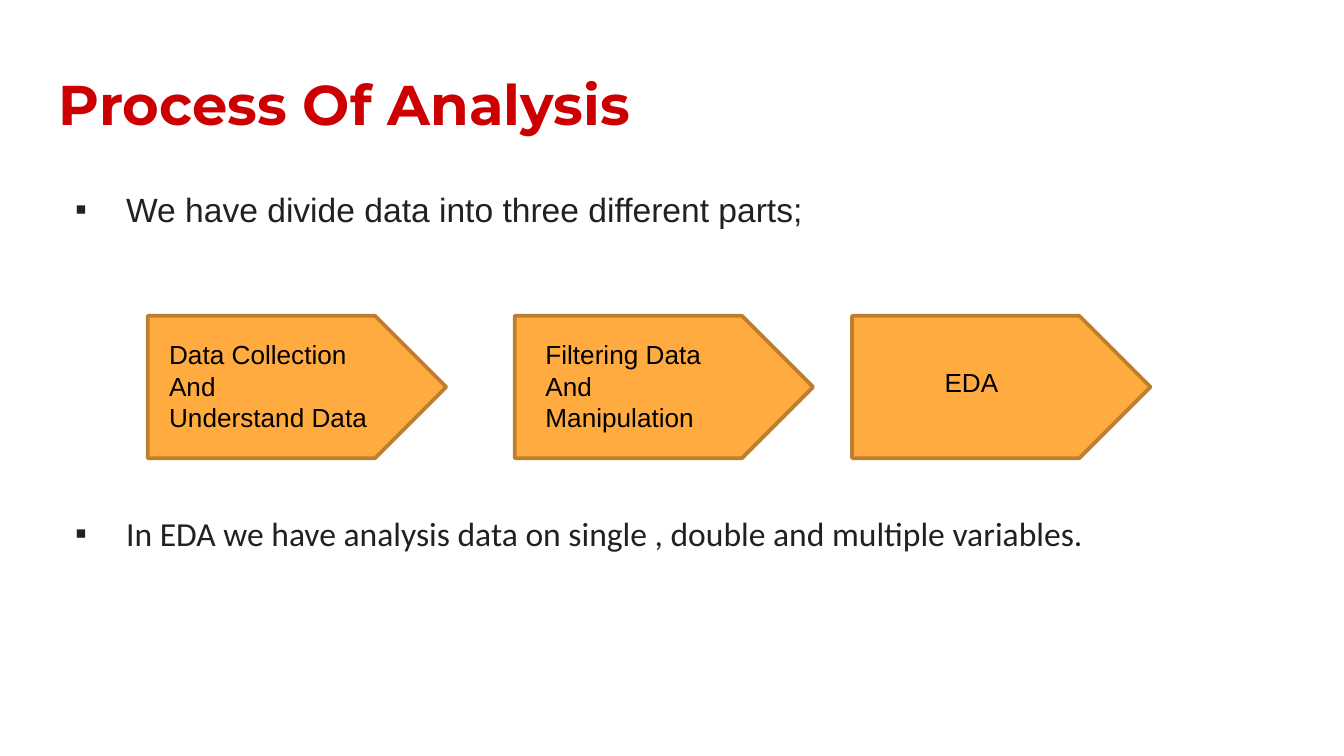
"""Build the Process Of Analysis slide with three stage arrows."""
from lxml import etree
from pptx import Presentation
from pptx.dml.color import RGBColor
from pptx.enum import shapes, text
from pptx.oxml import ns
from pptx.util import Inches, Pt

RED = RGBColor(0xCC, 0x00, 0x00)
DARK = RGBColor(0x21, 0x21, 0x21)
BLACK = RGBColor(0x00, 0x00, 0x00)
ORANGE = RGBColor(0xFF, 0xAB, 0x40)
BROWN = RGBColor(0xBD, 0x7F, 0x2F)

TITLE = "Process Of Analysis"
POINTS = [
    ("We have divide data into three different parts;", "Arial", 0),
    ("In EDA we have analysis data on single , double and multiple variables.",
     "Calibri", 149),
]
STAGES = [
    (1.1, [["Data Collection ", "And ", "Understand Data"]], (1.16, 2.47, 1.76, 0.81)),
    (3.83, [["Filtering Data"], ["And ", "Manipulation"]], (3.96, 2.47, 1.49, 0.81)),
    (6.34, [["EDA"]], (6.93, 2.68, 0.93, 0.34)),
]
ARROW_TOP, ARROW_WIDTH, ARROW_HEIGHT = 2.35, 2.22, 1.06


def add_box(page, place, inset=0.1):
    box = page.shapes.add_textbox(*map(Inches, place))
    frame = box.text_frame
    frame.word_wrap = True
    frame.margin_left = frame.margin_right = Inches(0.1)
    frame.margin_top = frame.margin_bottom = Inches(inset)
    return frame


def add_para(frame, index, lines, font, size, color, bold=False):
    para = frame.add_paragraph() if index else frame.paragraphs[0]
    for number, words in enumerate(lines):
        if number:
            para.add_line_break()
        span = para.add_run()
        span.text = words
        span.font.name, span.font.size, span.font.bold = font, Pt(size), bold
        span.font.color.rgb = color
    return para


def add_bullet(para):
    props = para._p.get_or_add_pPr()
    props.set("marL", str(Inches(0.5)))
    props.set("indent", str(Inches(-0.38)))
    etree.SubElement(props, ns.qn("a:buFont"), typeface="Arial")
    etree.SubElement(props, ns.qn("a:buChar"), char="▪")


def add_arrow(page, left):
    arrow = page.shapes.add_shape(
        shapes.MSO_SHAPE.PENTAGON, Inches(left), Inches(ARROW_TOP),
        Inches(ARROW_WIDTH), Inches(ARROW_HEIGHT))
    arrow.shadow.inherit = False
    arrow.fill.solid()
    arrow.fill.fore_color.rgb = ORANGE
    arrow.line.color.rgb = BROWN
    arrow.line.width = Pt(2)


def main():
    deck = Presentation()
    deck.slide_width = Inches(10)
    deck.slide_height = deck.slide_width * 9 // 16
    page = deck.slides.add_slide(deck.slide_layouts[6])

    heading = add_box(page, (0.34, 0.49, 9.32, 0.63))
    heading.vertical_anchor = text.MSO_ANCHOR.BOTTOM
    add_para(heading, 0, [TITLE], "Montserrat", 30, RED, True)

    body = add_box(page, (0.34, 1.26, 9.32, 3.8))
    for index, (words, font, gap) in enumerate(POINTS):
        para = add_para(body, index, [words], font, 18, DARK)
        para.line_spacing = 1.15
        para.space_before = Pt(gap)
        add_bullet(para)

    for left, _, _ in STAGES:
        add_arrow(page, left)
    for _, paras, place in STAGES:
        label = add_box(page, place, 0.05)
        for index, lines in enumerate(paras):
            add_para(label, index, lines, "Arial", 14, BLACK)

    deck.save("out.pptx")


if __name__ == "__main__":
    main()
